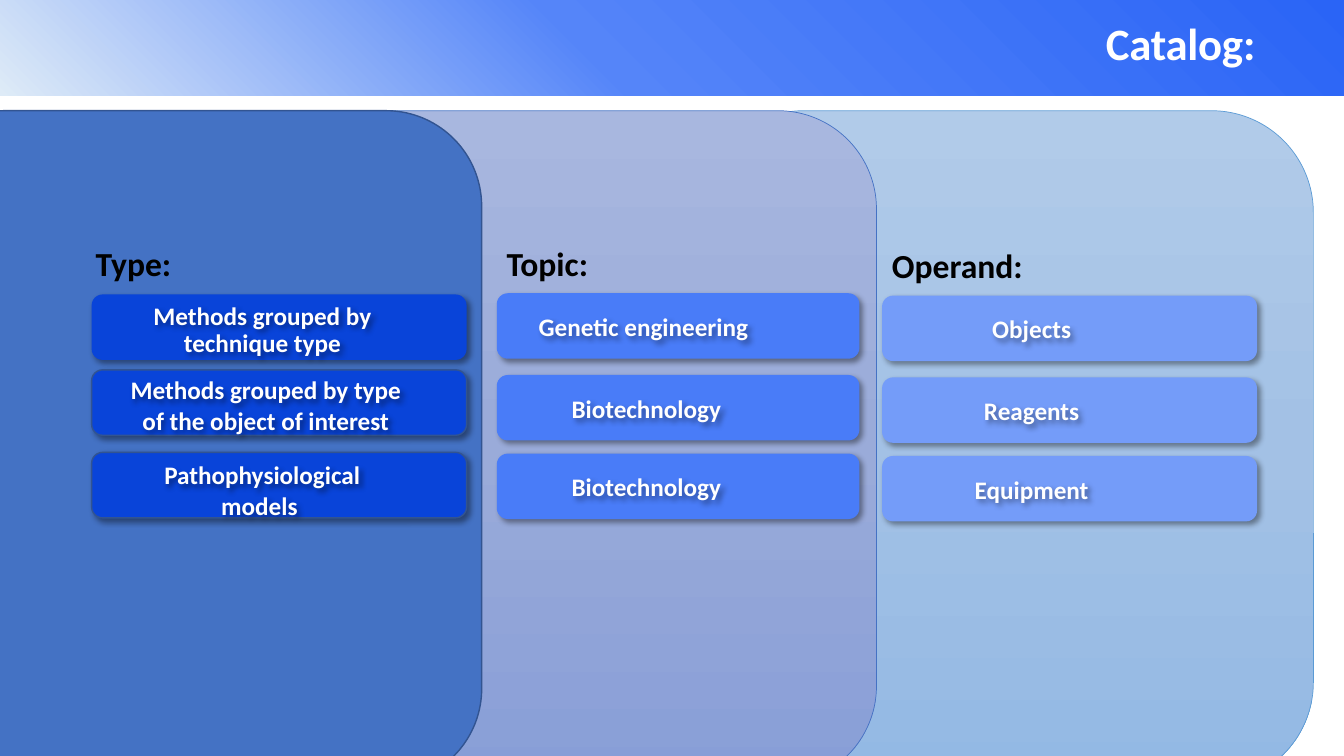
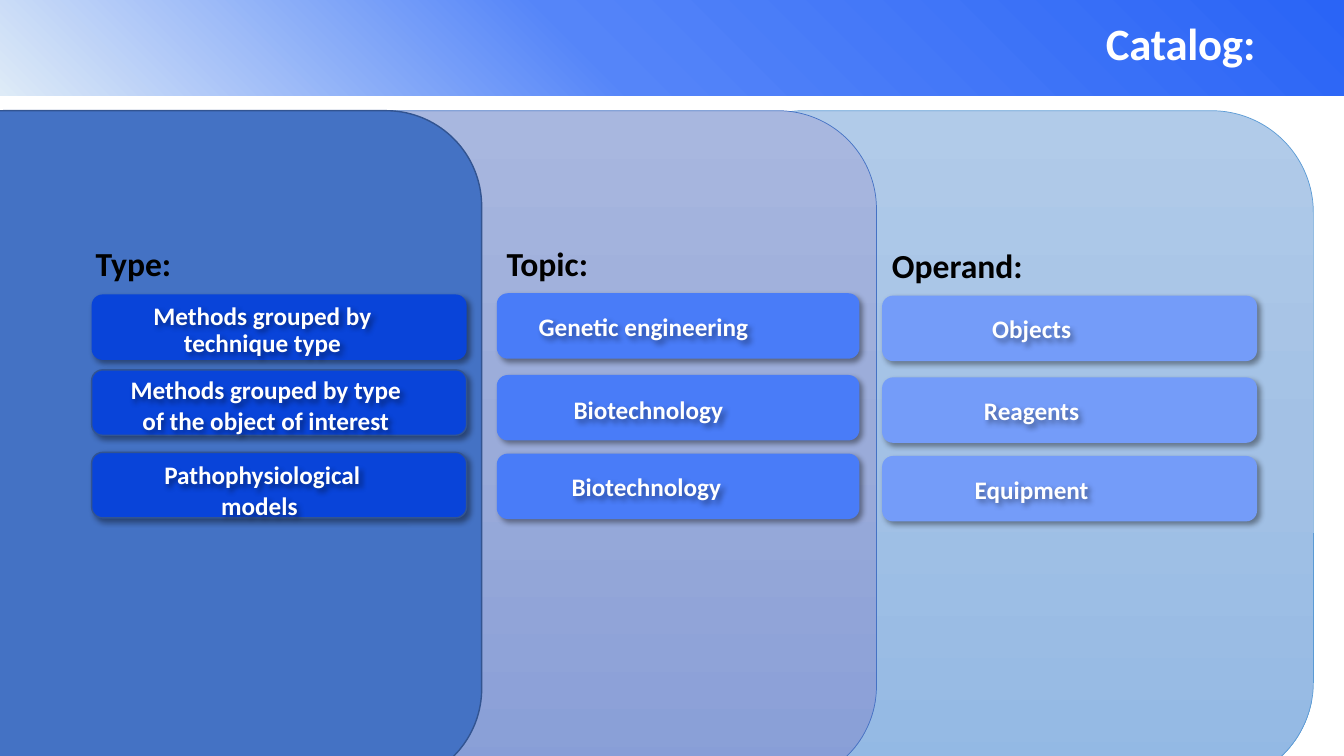
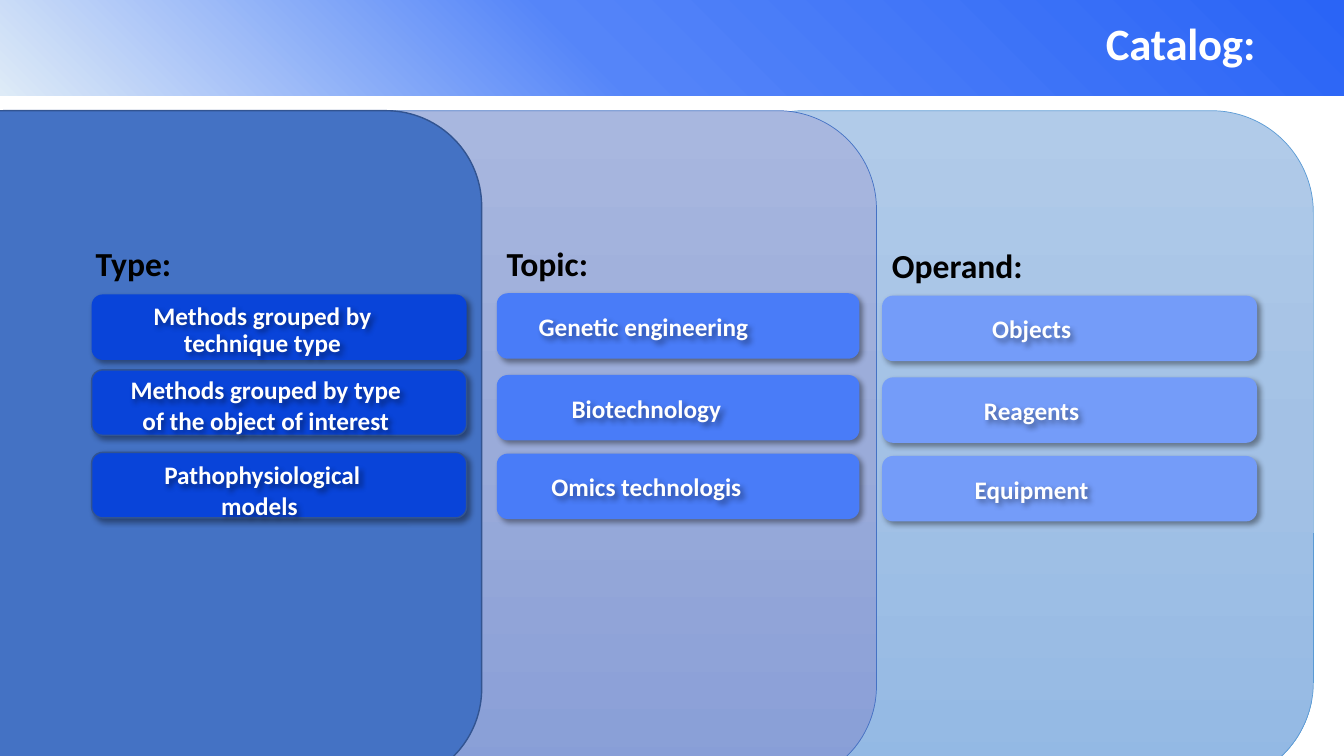
from lxml import etree
from pptx import Presentation
from pptx.dml.color import RGBColor
from pptx.enum.shapes import MSO_SHAPE
from pptx.enum.text import MSO_ANCHOR, MSO_AUTO_SIZE, PP_ALIGN
from pptx.oxml import parse_xml
from pptx.oxml.ns import nsdecls, qn
from pptx.util import Cm, Pt

RECT, ROUND = MSO_SHAPE.RECTANGLE, MSO_SHAPE.ROUNDED_RECTANGLE
LEFT, CENTER = PP_ALIGN.LEFT, PP_ALIGN.CENTER
TOP, MIDDLE = MSO_ANCHOR.TOP, MSO_ANCHOR.MIDDLE
GROW = MSO_AUTO_SIZE.SHAPE_TO_FIT_TEXT

WHITE = RGBColor(0xFF, 0xFF, 0xFF)
BLACK = RGBColor(0, 0, 0)
NAVY = RGBColor(0x32, 0x54, 0x91)
BLUE = RGBColor(0x44, 0x72, 0xC4)
SKY = RGBColor(0x5B, 0x9B, 0xD5)
TYPE_BLUE = RGBColor(0x09, 0x44, 0xD9)
TOPIC_BLUE = RGBColor(0x49, 0x7C, 0xF8)
OPERAND_BLUE = RGBColor(0x74, 0x9C, 0xF9)
BAND_STOPS = ((0, RGBColor(0x2A, 0x64, 0xF6)), (56, RGBColor(0x55, 0x85, 0xF9)),
              (100, RGBColor(0xDE, 0xEB, 0xF7)))
TOPIC_STOPS = ((0, RGBColor(0xA8, 0xB7, 0xDF)), (50, RGBColor(0x9A, 0xAB, 0xD9)),
               (100, RGBColor(0x88, 0x9E, 0xD7)))
OPERAND_STOPS = ((0, RGBColor(0xB1, 0xCB, 0xE9)), (50, RGBColor(0xA3, 0xC1, 0xE5)),
                 (100, RGBColor(0x93, 0xB9, 0xE4)))
DOWNWARD = '<a:lin ang="5400000" scaled="0"/>'
FROM_TOP_RIGHT = '<a:path path="circle"><a:fillToRect l="100000" b="100000"/></a:path>'

FONT = "Calibri"
WIDTH, HEIGHT = 33.87, 19.05
BUTTON_H = 1.65
ROWS = (7.39, 9.45, 11.43)
OPERAND_DROP = 0.06
TYPE_ITEMS = (
    (7.42, None, (3.2, 7.52, 6.83, 1.65), "Methods grouped by technique type", 0.9),
    (9.32, NAVY, (2.84, 9.32, 7.72, 1.8), "Methods grouped by type of the object of interest", None),
    (11.4, NAVY, (2.84, 11.46, 7.54, 1.8), "Pathophysiological\nmodels ", None),
)
OPERANDS = ("Objects", "Reagents", "Equipment")
CATALOGS = (
    (("Genetic engineering ", "Biotechnology", "Biotechnology"), (0, 0)),
    (("Genetic engineering ", "Biotechnology", "Biotechnology"), (0.05, 0.03)),
    (("Genetic engineering ", "Biotechnology", "Omics technologis"), (0, 0)),
)


class Deck:
    def __init__(self):
        self.prs = Presentation()
        self.prs.slide_width, self.prs.slide_height = Cm(WIDTH), Cm(HEIGHT)
        self.s = None

    def new_slide(self):
        self.s = self.prs.slides.add_slide(self.prs.slide_layouts[6])

    def add_shadow(self, sp):
        sp.shadow.inherit = False
        effects = sp._element.spPr.find(qn("a:effectLst"))
        shadow = etree.SubElement(effects, qn("a:outerShdw"), blurRad=str(Pt(4)),
                                  dist=str(Pt(3)), dir="2700000", algn="tl", rotWithShape="0")
        color = etree.SubElement(shadow, qn("a:srgbClr"), val=str(BLACK))
        etree.SubElement(color, qn("a:alpha"), val="40000")

    def box(self, kind, x, y, w, h, fill=None, stops=None, shade=DOWNWARD,
            line=None, weight=1, shadow=False):
        sp = self.s.shapes.add_shape(kind, Cm(x), Cm(y), Cm(w), Cm(h))
        sp.shadow.inherit = False
        if stops:
            marks = "".join(f'<a:gs pos="{pos * 1000}"><a:srgbClr val="{color}"/></a:gs>'
                            for pos, color in stops)
            geometry = sp._element.spPr.find(qn("a:prstGeom"))
            geometry.addnext(parse_xml(f'<a:gradFill {nsdecls("a")} rotWithShape="1">'
                                       f'<a:gsLst>{marks}</a:gsLst>{shade}</a:gradFill>'))
        else:
            sp.fill.solid()
            sp.fill.fore_color.rgb = fill
        if line is None:
            sp.line.fill.background()
        else:
            sp.line.color.rgb = line
            sp.line.width = Pt(weight)
        if shadow:
            self.add_shadow(sp)

    def text(self, text, x, y, w, h, size=18, color=WHITE, align=CENTER, anchor=TOP,
             wrap=True, spacing=None, before=None, tracking=None, insets=None, shadow=False):
        sp = self.s.shapes.add_textbox(Cm(x), Cm(y), Cm(w), Cm(h))
        tf = sp.text_frame
        tf.word_wrap, tf.auto_size, tf.vertical_anchor = wrap, GROW, anchor
        if insets:
            tf.margin_left, tf.margin_top, tf.margin_right, tf.margin_bottom = map(Cm, insets)
        for i, words in enumerate(text.split("\n")):
            p = tf.add_paragraph() if i else tf.paragraphs[0]
            p.alignment = align
            if spacing:
                p.line_spacing = spacing
            if before:
                p.space_before = Pt(before)
            r = p.add_run()
            r.text = words
            r.font.name, r.font.size, r.font.bold = FONT, Pt(size), True
            r.font.color.rgb = color
            if tracking:
                r._r.get_or_add_rPr().set("spc", str(round(tracking * 100)))
        if shadow:
            self.add_shadow(sp)

    def panel(self, x, w, **style):
        self.box(ROUND, x, 2.79, w, 16.97, **style)

    def title(self, text):
        self.box(RECT, 0, 0, WIDTH, 2.41, stops=BAND_STOPS, shade=FROM_TOP_RIGHT)
        self.text(text, 27.84, 0.36, 6.02, 1.4, size=32, align=LEFT, anchor=MIDDLE,
                  before=1, tracking=-0.2, insets=(0.03, 0.03, 0, 0))

    def heading(self, text, x, y, w):
        self.text(text, x, y, w, 1.27, size=24, color=BLACK, align=LEFT, wrap=False)

    def button(self, x, y, w, fill, line=None):
        self.box(ROUND, x, y, w, BUTTON_H, fill=fill, line=line, shadow=True)

    def column(self, x, w, fill, labels, drop=0, nudge=(0, 0)):
        for i, (y, label) in enumerate(zip(ROWS, labels)):
            dx, dy = nudge if i == 1 else (0, 0)
            self.button(x, y + drop, w, fill)
            self.text(label, x + dx, y + drop + 0.33 + dy, 7.54, 1.02, shadow=True)

    def catalog(self, topics, nudge):
        self.new_slide()
        self.panel(17.68, 15.42, stops=OPERAND_STOPS, line=SKY, weight=0.5)
        self.panel(7.21, 14.88, stops=TOPIC_STOPS, line=BLUE, weight=0.5)
        self.panel(-2.31, 14.45, fill=BLUE, line=NAVY)
        self.title("Catalog:")
        for y, line, place, label, spacing in TYPE_ITEMS:
            self.button(2.31, y, 9.45, TYPE_BLUE, line)
            self.text(label, *place, spacing=spacing, shadow=True)
        self.column(12.52, 9.14, TOPIC_BLUE, topics, nudge=nudge)
        self.column(22.23, 9.45, OPERAND_BLUE, OPERANDS, drop=OPERAND_DROP)
        self.heading("Type:", 2.16, 5.99, 2.44)
        self.heading("Topic:", 12.52, 5.99, 2.59)
        self.heading("Operand:", 22.23, 5.99 + OPERAND_DROP, 3.84)


def main():
    deck = Deck()
    for topics, nudge in CATALOGS:
        deck.catalog(topics, nudge)
    deck.prs.save("out.pptx")


if __name__ == "__main__":
    main()
